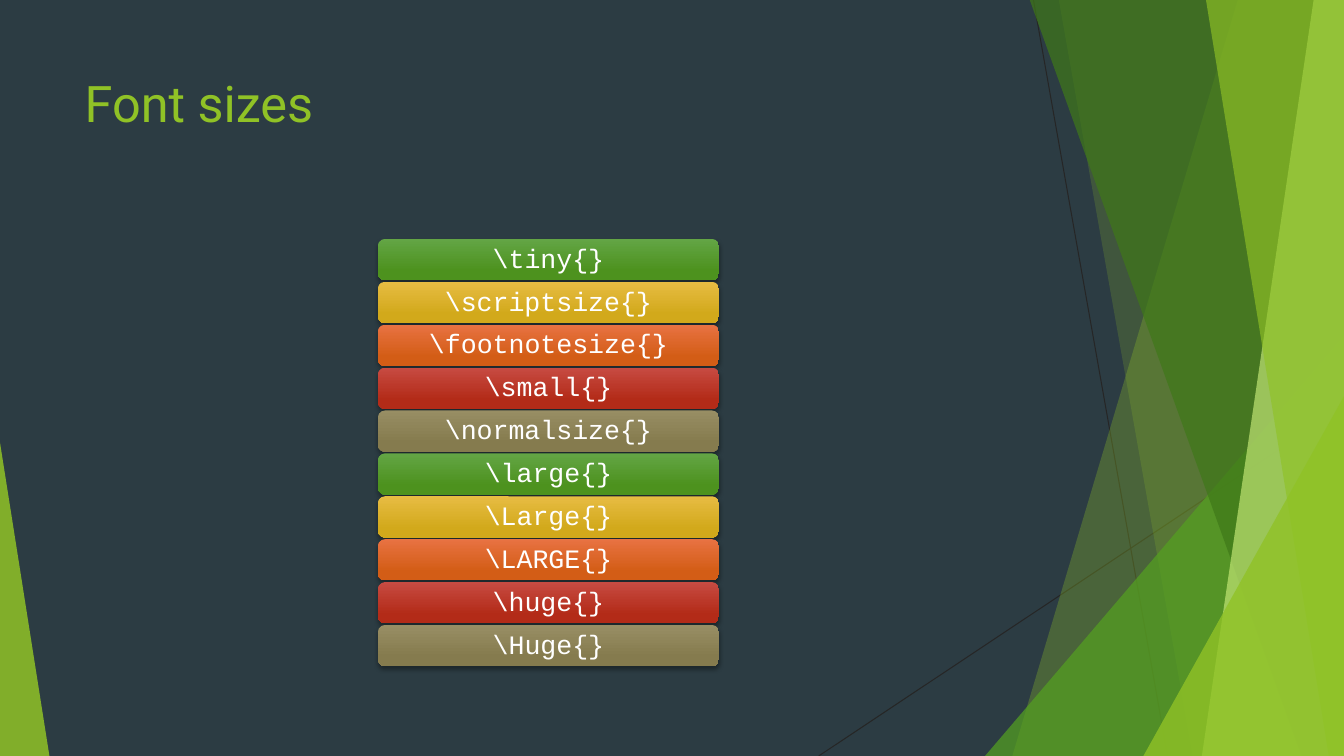
"""Build the slide listing the LaTeX font size commands."""
from dataclasses import dataclass
from itertools import cycle

from lxml import etree
from pptx import Presentation
from pptx.dml.color import RGBColor
from pptx.enum.shapes import MSO_CONNECTOR, MSO_SHAPE
from pptx.enum.text import MSO_ANCHOR, PP_ALIGN
from pptx.oxml.ns import qn
from pptx.shapes.autoshape import Shape
from pptx.slide import Slide
from pptx.text.text import TextFrame
from pptx.util import Inches, Pt

STRAIGHT = MSO_CONNECTOR.STRAIGHT
TRIANGLE = MSO_SHAPE.ISOSCELES_TRIANGLE
ROUNDED = MSO_SHAPE.ROUNDED_RECTANGLE
TOP, MIDDLE = MSO_ANCHOR.TOP, MSO_ANCHOR.MIDDLE
LEFT, CENTER = PP_ALIGN.LEFT, PP_ALIGN.CENTER

COLORS = {
    "background": "2C3C43",
    "hairline": "262626",
    "lime": "90C226",
    "green": "54A021",
    "forest": "3F7819",
    "pale": "C0E474",
    "white": "FFFFFF",
    "shadow": "000000",
}
GRADIENTS = {
    "green": ("63A545", "4D921E"),
    "gold": ("E7BC43", "D2A91B"),
    "orange": ("E87242", "D35D16"),
    "red": ("C74B42", "B32B18"),
    "olive": ("988E64", "857B4E"),
}
COMMANDS = ("tiny", "scriptsize", "footnotesize", "small", "normalsize",
            "large", "Large", "LARGE", "huge", "Huge")
PAGE_WIDTH, PAGE_HEIGHT = 13.33, 7.5
FACET_TOP = -0.01
BAR_LEFT, BAR_WIDTH, BAR_HEIGHT = 3.75, 3.38, 0.41
FIRST_BAR, LAST_BAR = 2.37, 6.2
BAR_PITCH = (LAST_BAR - FIRST_BAR) / (len(COMMANDS) - 1)


@dataclass(frozen=True)
class Hairline:
    """A thin line between two points."""
    start: tuple[float, float]
    end: tuple[float, float]


@dataclass(frozen=True)
class Facet:
    """A full-height panel with a slanted left edge."""
    top_left: float
    bottom_left: float
    color: str
    opacity: int


@dataclass(frozen=True)
class Wedge:
    """A right triangle standing on the bottom edge."""
    left: float
    top: float
    width: float
    apex: float
    color: str
    opacity: int


HAIRLINES = (Hairline((10.25, 0), (11.58, 7.5)),
             Hairline((13.33, 4.03), (8.12, 7.5)))
PANELS = (
    Facet(12.28, 10.04, "lime", 30),
    Facet(10.5, 11.83, "lime", 20),
    Wedge(9.77, 3.33, 3.56, 1, "green", 72),
    Facet(10.21, 12.91, "forest", 70),
    Facet(13.03, 11.92, "pale", 70),
    Facet(11.96, 13.18, "lime", 65),
    Wedge(11.34, 3.93, 1.99, 1, "lime", 80),
    Wedge(0, 4.39, 0.49, 0, "lime", 85),
)


def set_attributes(target: object, values: dict[str, object]) -> None:
    """Set each named attribute on the target."""
    for name, value in values.items():
        setattr(target, name, value)


def write_text(frame: TextFrame, text: str, font: str, size: int, color: str,
               paragraph_format: dict[str, object]) -> None:
    """Write one formatted paragraph into a text frame."""
    para = frame.paragraphs[0]
    set_attributes(para, paragraph_format)
    span = para.add_run()
    span.text = text
    set_attributes(span.font, {"name": font, "size": Pt(size)})
    span.font.color.rgb = RGBColor.from_string(COLORS[color])


def draw_hairline(page: Slide, hairline: Hairline) -> None:
    """Draw a thin dark line without a shadow."""
    points = (Inches(value) for value in hairline.start + hairline.end)
    connector = page.shapes.add_connector(STRAIGHT, *points)
    connector.line.color.rgb = RGBColor.from_string(COLORS["hairline"])
    connector.line.width = Pt(0.75)
    etree.SubElement(connector.element.spPr, qn("a:effectLst"))


def add_panel_shape(page: Slide, panel: Facet | Wedge) -> Shape:
    """Add the outline of a facet or a wedge."""
    if isinstance(panel, Wedge):
        shape = page.shapes.add_shape(
            TRIANGLE, Inches(panel.left), Inches(panel.top),
            Inches(panel.width), Inches(PAGE_HEIGHT - panel.top))
        shape.adjustments[0] = panel.apex
        return shape
    corners = ((PAGE_WIDTH, FACET_TOP), (PAGE_WIDTH, PAGE_HEIGHT),
               (panel.bottom_left, PAGE_HEIGHT))
    builder = page.shapes.build_freeform(Inches(panel.top_left),
                                         Inches(FACET_TOP))
    builder.add_line_segments([(Inches(x), Inches(y)) for x, y in corners])
    return builder.convert_to_shape()


def draw_panel(page: Slide, panel: Facet | Wedge) -> None:
    """Draw a translucent decorative panel."""
    shape = add_panel_shape(page, panel)
    shape.shadow.inherit = False
    shape.line.fill.background()
    shape.fill.solid()
    shape.fill.fore_color.rgb = RGBColor.from_string(COLORS[panel.color])
    color = shape.element.spPr.find(f"{qn('a:solidFill')}/{qn('a:srgbClr')}")
    etree.SubElement(color, qn("a:alpha"), val=str(panel.opacity * 1000))


def add_shadow(shape: Shape) -> None:
    """Give a shape a soft shadow below it."""
    shape.shadow.inherit = False
    effects = shape.element.spPr.find(qn("a:effectLst"))
    shadow = etree.SubElement(
        effects, qn("a:outerShdw"), blurRad=str(Pt(3)), dist=str(Pt(2)),
        dir="5400000", rotWithShape="0")
    color = etree.SubElement(shadow, qn("a:srgbClr"), val=COLORS["shadow"])
    etree.SubElement(color, qn("a:alpha"), val="35000")


def draw_bar(page: Slide, top: float, command: str,
             gradient: tuple[str, str]) -> None:
    """Draw a gradient bar that names one size command."""
    bar = page.shapes.add_shape(ROUNDED, Inches(BAR_LEFT), Inches(top),
                                Inches(BAR_WIDTH), Inches(BAR_HEIGHT))
    bar.line.fill.background()
    bar.fill.gradient()
    bar.fill.gradient_angle = 270
    for stop, position, color in zip(bar.fill.gradient_stops, (0, 0.78), gradient):
        stop.position = position
        stop.color.rgb = RGBColor.from_string(color)
    add_shadow(bar)
    set_attributes(bar.text_frame, {
        "vertical_anchor": MIDDLE, "word_wrap": True,
        "margin_left": Inches(0.1), "margin_right": Inches(0.1),
        "margin_top": Inches(0.06), "margin_bottom": Inches(0.06)})
    write_text(bar.text_frame, f"\\{command}{{}}", "Courier New", 19, "white",
               {"alignment": CENTER, "line_spacing": 0.9})


def draw_title(page: Slide) -> None:
    """Place and format the title."""
    title = page.shapes.title
    set_attributes(title, {"left": Inches(0.74), "top": Inches(0.67),
                           "width": Inches(9.4), "height": Inches(1.44)})
    title.text_frame.vertical_anchor = TOP
    write_text(title.text_frame, "Font sizes", "Roboto", 36, "lime",
               {"alignment": LEFT})


def main() -> None:
    """Build and save the deck."""
    deck = Presentation()
    set_attributes(deck, {"slide_width": Inches(PAGE_WIDTH),
                          "slide_height": Inches(PAGE_HEIGHT)})
    page = deck.slides.add_slide(deck.slide_layouts.get_by_name("Title Only"))
    page.background.fill.solid()
    page.background.fill.fore_color.rgb = RGBColor.from_string(COLORS["background"])
    for hairline in HAIRLINES:
        draw_hairline(page, hairline)
    for panel in PANELS:
        draw_panel(page, panel)
    draw_title(page)
    for row, (command, gradient) in enumerate(zip(COMMANDS, cycle(GRADIENTS.values()))):
        draw_bar(page, FIRST_BAR + row * BAR_PITCH, command, gradient)
    deck.save("out.pptx")


if __name__ == "__main__":
    main()
